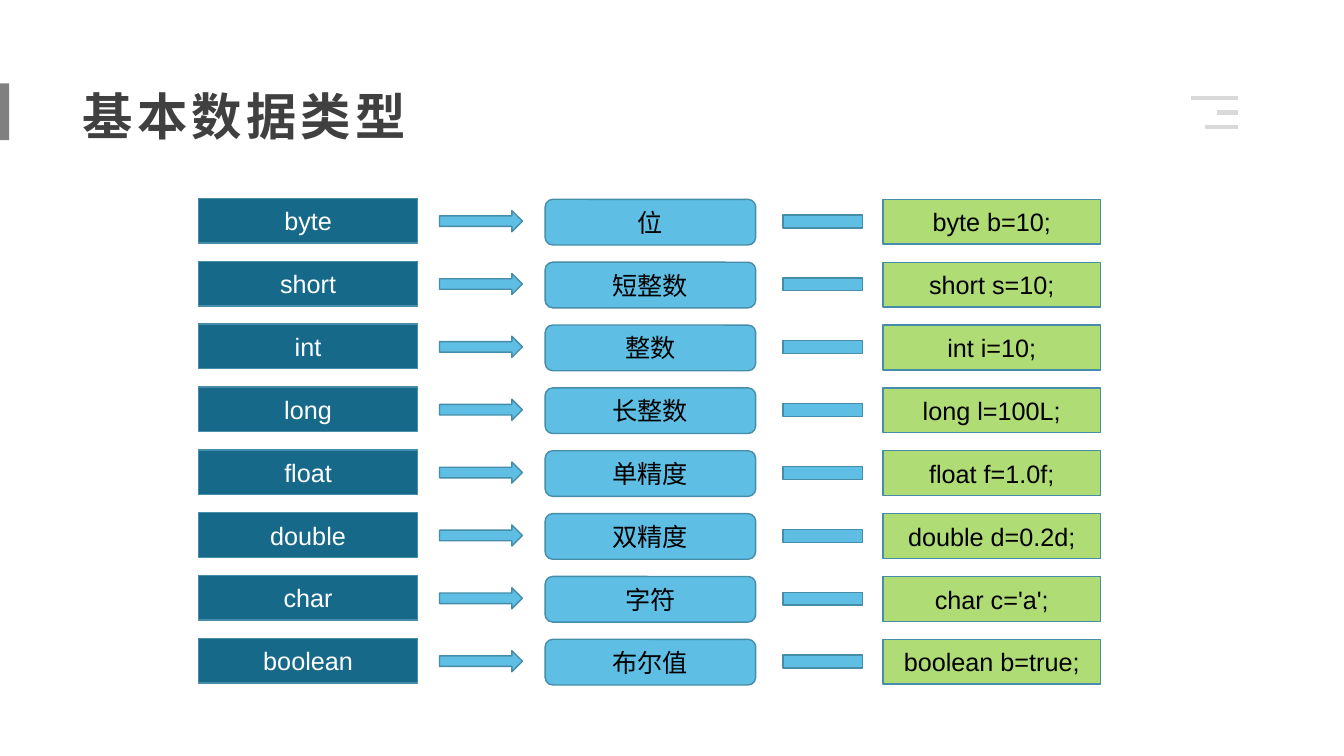
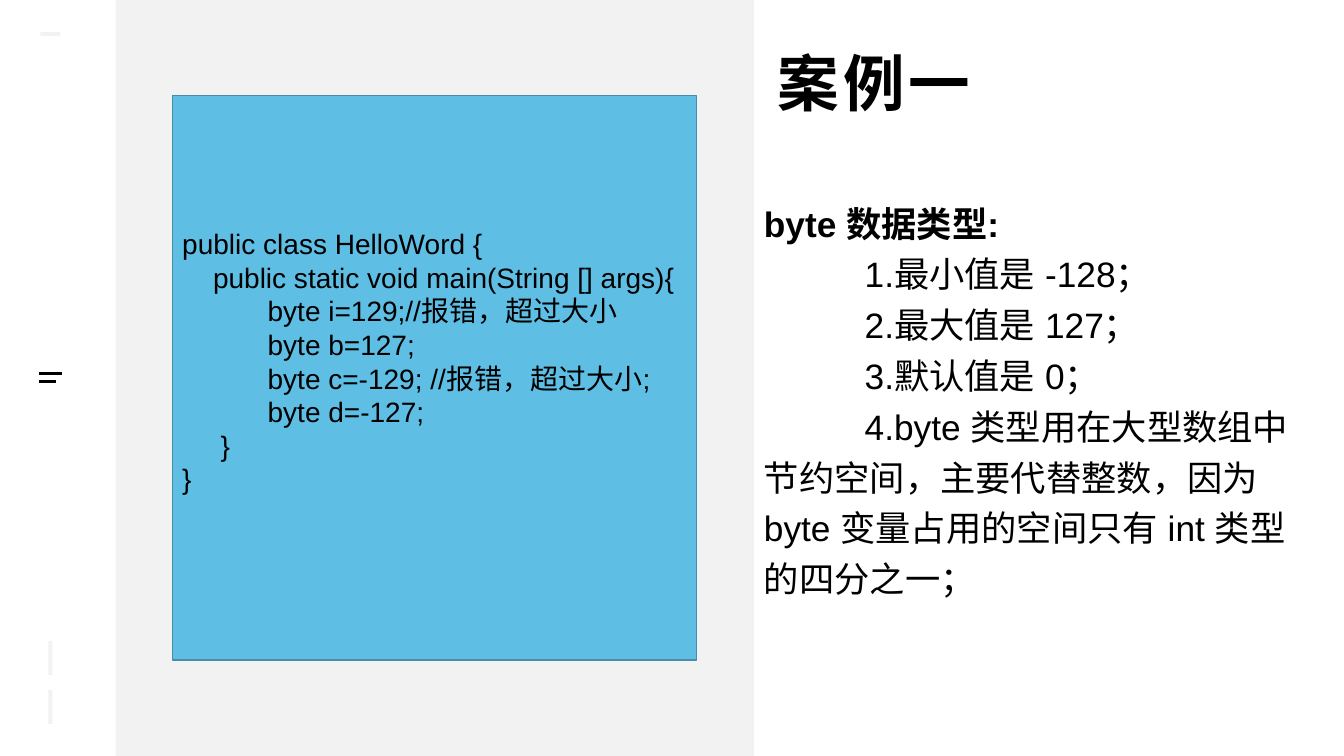
from lxml.etree import SubElement
from pptx import Presentation
from pptx.dml.color import RGBColor
from pptx.enum.shapes import MSO_CONNECTOR, MSO_SHAPE as SHAPE
from pptx.enum.text import MSO_ANCHOR as ANCHOR, MSO_AUTO_SIZE, PP_ALIGN as ALIGN
from pptx.oxml.ns import qn
from pptx.util import Pt

COLORS = {
    "black": "000000", "white": "FFFFFF", "title": "404040", "marker": "808080",
    "menu": "D9D9D9", "panel": "F2F2F2", "navy": "17698A", "blue": "5EBEE4",
    "green": "AFDC74", "edge": "468DA9",
}
LATIN = "Arial"
CJK = "Noto Sans CJK SC"


def rgb(name):
    return RGBColor.from_string(COLORS[name])


class Deck:
    def __init__(self):
        self.prs = Presentation()
        self.prs.slide_width = Pt(960)
        self.prs.slide_height = Pt(540)
        self.s = None

    def slide(self):
        self.s = self.prs.slides.add_slide(self.prs.slide_layouts[5])

    def run(self, p, text, size, color="black", bold=False, font=LATIN, spacing=0):
        r = p.add_run()
        r.text = text
        r.font.size = Pt(size)
        r.font.bold = bold
        r.font.name = font
        r.font.color.rgb = rgb(color)
        rPr = r._r.get_or_add_rPr()
        SubElement(rPr, qn("a:ea")).set("typeface", font)
        if spacing:
            rPr.set("spc", str(spacing * 100))

    def paragraph(self, tf, first, left=0, indent=0, align=ALIGN.LEFT, spacing=None):
        p = tf.paragraphs[0] if first else tf.add_paragraph()
        p.alignment = align
        if spacing:
            p.line_spacing = spacing
        pPr = p._p.get_or_add_pPr()
        pPr.set("marL", str(Pt(left)))
        pPr.set("indent", str(Pt(indent)))
        return p

    def frame(self, tf, anchor, bottom=3.6):
        tf.word_wrap = True
        tf.auto_size = MSO_AUTO_SIZE.NONE
        tf.vertical_anchor = anchor
        tf.margin_left = tf.margin_right = Pt(7.2)
        tf.margin_top = Pt(3.6)
        tf.margin_bottom = Pt(bottom)
        return tf

    def title(self, text, x, y, w, h, size, spacing, color="black",
              font=LATIN, anchor=ANCHOR.TOP, bottom=3.6):
        sp = self.s.shapes.title
        sp.left, sp.top, sp.width, sp.height = Pt(x), Pt(y), Pt(w), Pt(h)
        tf = self.frame(sp.text_frame, anchor, bottom)
        p = self.paragraph(tf, True, spacing=spacing)
        self.run(p, text, size, color, True, font, 3)

    def shape(self, kind, x, y, w, h, fill, edge=None):
        sp = self.s.shapes.add_shape(kind, Pt(x), Pt(y), Pt(w), Pt(h))
        sp.shadow.inherit = False
        sp.fill.solid()
        sp.fill.fore_color.rgb = rgb(fill)
        if edge:
            sp.line.color.rgb = rgb(edge)
            sp.line.width = Pt(1)
        else:
            sp.line.fill.background()
        return sp

    def box(self, kind, x, y, w, h, fill, text, color="black"):
        sp = self.shape(kind, x, y, w, h, fill, "edge")
        tf = self.frame(sp.text_frame, ANCHOR.MIDDLE)
        self.run(self.paragraph(tf, True, align=ALIGN.CENTER), text, 18, color)

    def code(self, x, y, w, h, lines):
        sp = self.shape(SHAPE.RECTANGLE, x, y, w, h, "blue", "edge")
        tf = self.frame(sp.text_frame, ANCHOR.MIDDLE, 27.6)
        for i, (left, text) in enumerate(lines):
            self.run(self.paragraph(tf, i == 0, left), text, 20)

    def text(self, x, y, w, h, heading, items):
        sp = self.s.shapes.add_textbox(Pt(x), Pt(y), Pt(w), Pt(h))
        tf = self.frame(sp.text_frame, ANCHOR.TOP)
        self.run(self.paragraph(tf, True, spacing=1.2), heading, 25.2, bold=True)
        for item in items:
            p = self.paragraph(tf, False, indent=72, spacing=1.2)
            self.run(p, item, 25.2)

    def lines(self, segments, color, width):
        group = self.s.shapes.add_group_shape()
        for x1, x2, y in segments:
            c = group.shapes.add_connector(
                MSO_CONNECTOR.STRAIGHT, Pt(x1), Pt(y), Pt(x2), Pt(y))
            c.line.color.rgb = rgb(color)
            c.line.width = Pt(width)
            SubElement(c._element.spPr, qn("a:effectLst"))


TYPES = [
    ("byte", "位", "byte b=10;"),
    ("short", "短整数", "short s=10;"),
    ("int", "整数", "int i=10;"),
    ("long", "长整数", "long l=100L;"),
    ("float", "单精度", "float f=1.0f;"),
    ("double", "双精度", "double d=0.2d;"),
    ("char", "字符", "char c='a';"),
    ("boolean", "布尔值", "boolean b=true;"),
]
CODE = [
    (0, "public class HelloWord {"),
    (22, "public static void main(String [] args){"),
    (61, "byte i=129;//报错，超过大小"),
    (61, "byte b=127;"),
    (61, "byte c=-129; //报错，超过大小;"),
    (61, "byte d=-127;"),
    (27.5, "}"),
    (0, "}"),
]
FACTS = [
    "1.最小值是 -128；",
    "2.最大值是 127；",
    "3.默认值是 0；",
    "4.byte 类型用在大型数组中节约空间，主要代替整数，因为 byte 变量占用的空间只有 int 类型的四分之一；",
]


def types_slide(d):
    d.slide()
    d.title("基本数据类型", 51.8, 48.2, 781, 62, 36, 1.2, "title", CJK,
            ANCHOR.MIDDLE, 5.8)
    d.shape(SHAPE.RECTANGLE, 0, 59.6, 6.5, 40.5, "marker")
    d.lines([(884, 851, 69.8), (884, 869, 80.4), (884, 860.4, 90.8)], "menu", 3)
    for i, (name, meaning, example) in enumerate(TYPES):
        y = 141.8 + 44.9 * i
        d.box(SHAPE.RECTANGLE, 141.8, y, 156.5, 31.8, "navy", name, "white")
        d.shape(SHAPE.RIGHT_ARROW, 314, y + 8.6, 59.2, 15.1, "blue", "edge")
        d.box(SHAPE.ROUNDED_RECTANGLE, 389.4, y + 0.6, 150.4, 32.6, "blue", meaning)
        d.shape(SHAPE.RECTANGLE, 559.3, y + 11.8, 56.9, 9.2, "blue", "edge")
        d.box(SHAPE.RECTANGLE, 630.6, y + 0.6, 155.6, 32, "green", example)


def example_slide(d):
    d.slide()
    d.shape(SHAPE.RECTANGLE, 82.8, 0, 455.8, 540, "panel")
    d.lines([(28, 44, 267), (28, 40, 272.8)], "black", 2)
    for x, y, w, h in [(34.6, 493, 2.9, 24), (34.6, 458, 2.9, 24),
                       (28.8, 23, 14.4, 2.9)]:
        d.shape(SHAPE.RECTANGLE, x, y, w, h, "panel")
    d.title("案例一", 548, 23, 343.4, 122.4, 44, 1.1)
    d.text(538.6, 134.6, 391, 329, "byte 数据类型:", FACTS)
    d.code(123.1, 68.4, 374.4, 403.2, CODE)


def main():
    d = Deck()
    types_slide(d)
    example_slide(d)
    d.prs.save("out.pptx")


if __name__ == "__main__":
    main()
